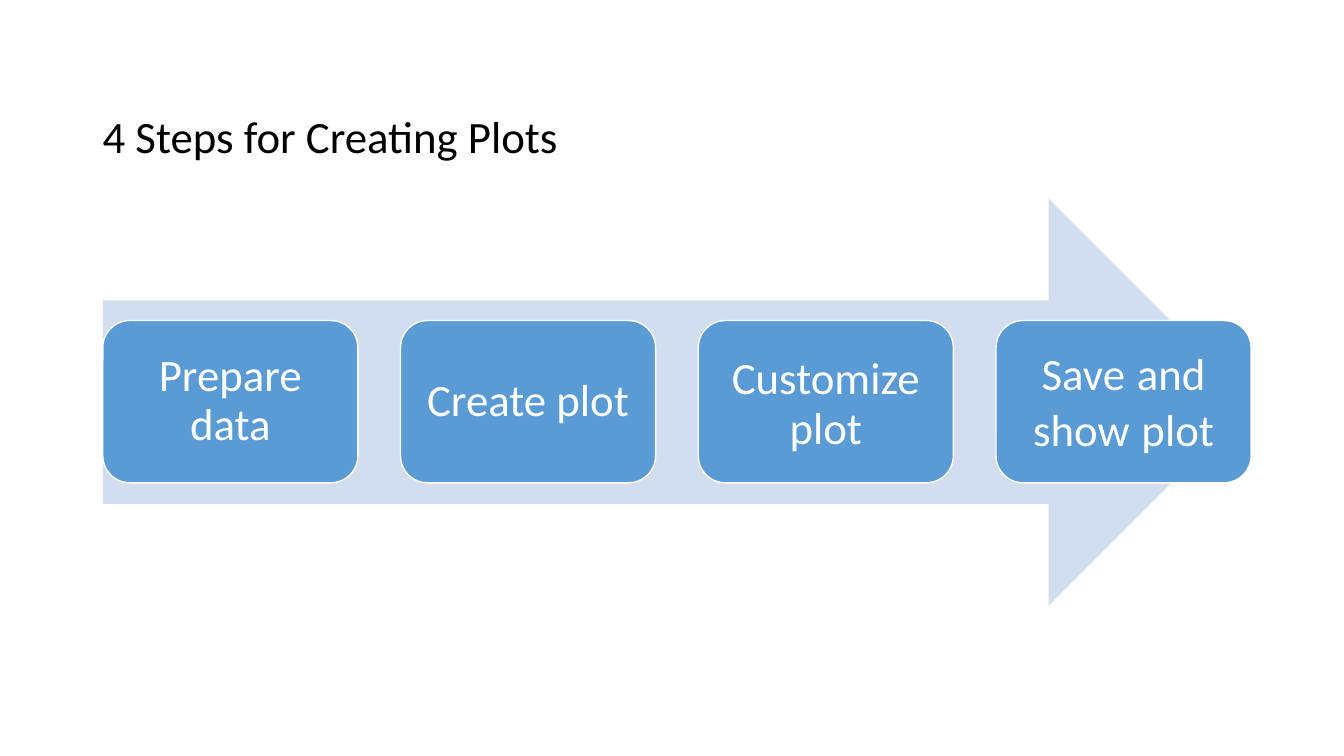
from pptx import Presentation
from pptx.dml.color import RGBColor
from pptx.enum import shapes, text
from pptx.util import Inches, Pt

COLORS = {"title": "000000", "arrow": "D2DEEF", "step": "5B9BD5", "white": "FFFFFF"}
STEPS = [
    ["Prepare data"],
    ["Create plot"],
    ["Customize", " ", "plot"],
    ["Save", " ", "and", " ", "show", " ", "plot"],
]
STEP_LEFT, STEP_PITCH = 1.02, 2.953
TITLE_FRAME = {"word_wrap": True, "vertical_anchor": text.MSO_ANCHOR.BOTTOM}
STEP_FRAME = {
    "word_wrap": True,
    "vertical_anchor": text.MSO_ANCHOR.MIDDLE,
    **{f"margin_{side}": Inches(0.13) for side in ("left", "top", "right", "bottom")},
}


def rgb(name):
    return RGBColor.from_string(COLORS[name])


def set_all(target, values):
    for name, value in values.items():
        setattr(target, name, value)


def write(tf, runs, color, align, frame):
    set_all(tf, frame)
    p = tf.paragraphs[0]
    set_all(p, {"alignment": align, "line_spacing": 0.9})
    for words in runs:
        r = p.add_run()
        r.text = words
        size = Pt(37 if words == " " else 32)
        set_all(r.font, {"name": "Calibri", "size": size})
        r.font.color.rgb = rgb(color)


def add_title(s, words):
    box = s.shapes.add_textbox(Inches(0.92), Inches(0.5), Inches(5.16), Inches(1.17))
    write(box.text_frame, [words], "title", text.PP_ALIGN.LEFT, TITLE_FRAME)


def add_filled(s, kind, left, top, width, height, fill):
    sp = s.shapes.add_shape(kind, Inches(left), Inches(top), Inches(width), Inches(height))
    sp.shadow.inherit = False
    sp.fill.solid()
    sp.fill.fore_color.rgb = rgb(fill)
    sp.line.fill.background()
    return sp


def add_step(s, left, runs):
    sp = add_filled(s, shapes.MSO_SHAPE.ROUNDED_RECTANGLE, left, 3.18, 2.53, 1.61, "step")
    sp.line.color.rgb = rgb("white")
    sp.line.width = Pt(1)
    write(sp.text_frame, runs, "white", text.PP_ALIGN.CENTER, STEP_FRAME)


def main():
    prs = Presentation()
    set_all(prs, {"slide_width": Inches(13.33), "slide_height": Inches(7.5)})
    s = prs.slides.add_slide(prs.slide_layouts[6])
    add_title(s, "4 Steps for Creating Plots")
    add_filled(s, shapes.MSO_SHAPE.RIGHT_ARROW, 1.02, 1.97, 11.4, 4.04, "arrow")
    for i, runs in enumerate(STEPS):
        add_step(s, STEP_LEFT + i * STEP_PITCH, runs)
    prs.save("out.pptx")


if __name__ == "__main__":
    main()
